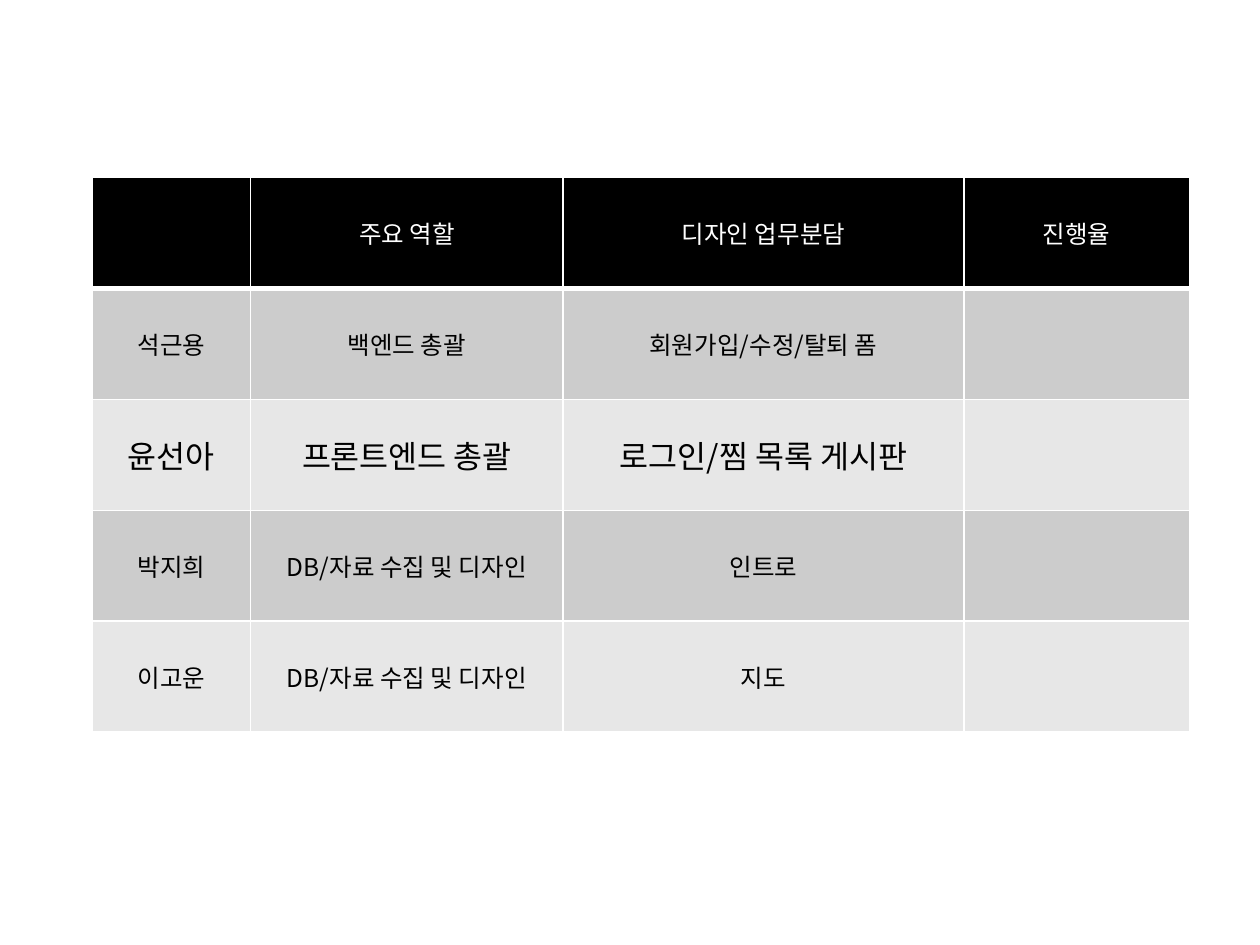
from lxml.etree import SubElement
from pptx import Presentation
from pptx.dml.color import RGBColor
from pptx.enum.text import MSO_ANCHOR, PP_ALIGN
from pptx.oxml.ns import qn
from pptx.util import Inches, Pt

THEME = {
    "font": "Noto Sans CJK KR",
    "header": "000000",
    "bands": ("CCCCCC", "E7E7E7"),
    "text": "000000",
    "light": "FFFFFF",
    "size": 14,
    "large": 18,
}
LARGE_ROW = 2
COLUMN_WIDTHS = (1.26, 2.48, 3.18, 1.79)
ROW_HEIGHT = 0.88
ROWS = (
    ("", "주요 역할", "디자인 업무분담", "진행율"),
    ("석근용", "백엔드 총괄", "회원가입/수정/탈퇴 폼", ""),
    ("윤선아", "프론트엔드 총괄", "로그인/찜 목록 게시판", ""),
    ("박지희", "DB/자료 수집 및 디자인", "인트로", ""),
    ("이고운", "DB/자료 수집 및 디자인", "지도", ""),
)


def set_borders(cell, bottom=1):
    """Draw the white cell lines; they go before the fill in tcPr."""
    tcPr = cell._tc.get_or_add_tcPr()
    for side, width in (("L", 1), ("R", 1), ("T", 1), ("B", bottom)):
        line = SubElement(tcPr, qn(f"a:ln{side}"), w=str(Pt(width)))
        fill = SubElement(line, qn("a:solidFill"))
        SubElement(fill, qn("a:srgbClr"), val=THEME["light"])


def write_cell(cell, text, size, color):
    cell.vertical_anchor = MSO_ANCHOR.MIDDLE
    cell.text_frame.text = text
    p = cell.text_frame.paragraphs[0]
    p.alignment = PP_ALIGN.CENTER
    for r in p.runs:
        r.font.size = Pt(size)
        r.font.bold = False
        r.font.color.rgb = RGBColor.from_string(color)
        r.font.name = THEME["font"]
        SubElement(r.font._element, qn("a:ea"), typeface=THEME["font"])


prs = Presentation()
prs.slide_width, prs.slide_height = Inches(10), Inches(7.5)
s = prs.slides.add_slide(prs.slide_layouts[6])

# Table grid
table = s.shapes.add_table(
    len(ROWS), len(COLUMN_WIDTHS), Inches(0.73), Inches(1.41),
    Inches(sum(COLUMN_WIDTHS)), Inches(ROW_HEIGHT * len(ROWS)),
).table
for column, width in zip(table.columns, COLUMN_WIDTHS):
    column.width = Inches(width)
for row in table.rows:
    row.height = Inches(ROW_HEIGHT)

# Header row and alternating member rows
for i, texts in enumerate(ROWS):
    header = i == 0
    fill = THEME["header"] if header else THEME["bands"][(i - 1) % 2]
    color = THEME["light"] if header else THEME["text"]
    size = THEME["large"] if i == LARGE_ROW else THEME["size"]
    for j, text in enumerate(texts):
        cell = table.cell(i, j)
        set_borders(cell, bottom=3 if header else 1)
        cell.fill.solid()
        cell.fill.fore_color.rgb = RGBColor.from_string(fill)
        write_cell(cell, text, size, color)

prs.save("out.pptx")
